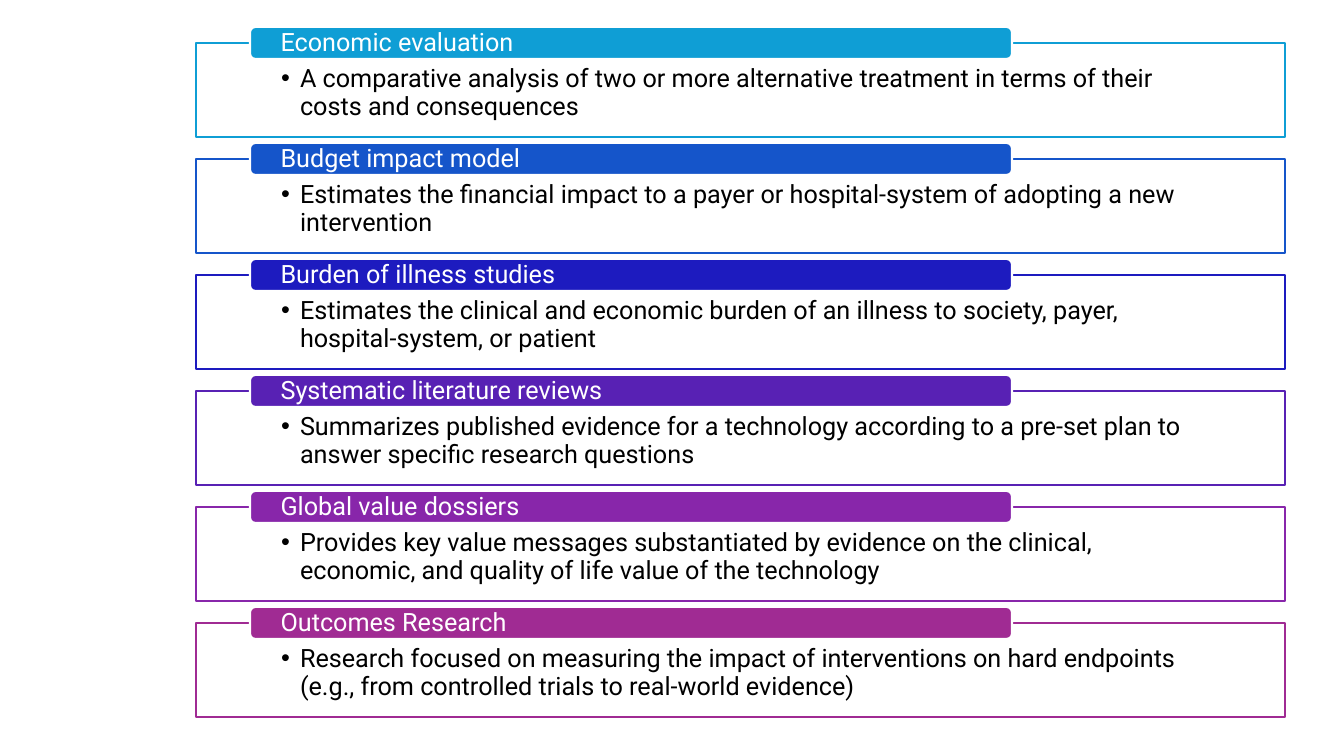
from pptx import Presentation
from pptx.dml.color import RGBColor
from pptx.enum.shapes import MSO_SHAPE as SHAPE
from pptx.enum.text import MSO_ANCHOR as ANCHOR, PP_ALIGN as ALIGN
from pptx.oxml.ns import qn
from pptx.util import Pt
from lxml.etree import SubElement

EMU_PER_PX = 914400 / 100.8


def px(length):
    return round(length * EMU_PER_PX)


def add_panel(kind, box, fill, line, text, color, insets, anchor):
    """Add a filled, outlined shape with one left-aligned paragraph."""
    panel = slide.shapes.add_shape(kind, *map(px, box))
    panel.shadow.inherit = False
    panel.fill.solid()
    panel.fill.fore_color.rgb = RGBColor.from_string(fill)
    panel.line.color.rgb = RGBColor.from_string(line)
    panel.line.width = Pt(1.5)
    frame = panel.text_frame
    frame.word_wrap = True
    frame.vertical_anchor = anchor
    frame.margin_left, frame.margin_top, frame.margin_right, frame.margin_bottom = map(px, insets)
    paragraph = frame.paragraphs[0]
    paragraph.alignment = ALIGN.LEFT
    paragraph.line_spacing = 0.9
    run = paragraph.add_run()
    run.text = text
    run.font.name = "Roboto"
    run.font.size = Pt(18)
    run.font.color.rgb = RGBColor.from_string(color)
    return panel


studies = [
    ("Economic evaluation", "0F9ED5",
     "A comparative analysis of two or more alternative treatment in terms of their costs and consequences"),
    ("Budget impact model", "1555CA",
     "Estimates the financial impact to a payer or hospital-system of adopting a new intervention"),
    ("Burden of illness studies", "1D1BBF",
     "Estimates the clinical and economic burden of an illness to society, payer, hospital-system, or patient"),
    ("Systematic literature reviews", "5821B4",
     "Summarizes published evidence for a technology according to a pre-set plan to answer specific research questions"),
    ("Global value dossiers", "8826AA",
     "Provides key value messages substantiated by evidence on the clinical, economic, and quality of life value of the technology"),
    ("Outcomes Research", "A02B93",
     "Research focused on measuring the impact of interventions on hard endpoints (e.g., from controlled trials to real-world evidence)"),
]

deck = Presentation()
deck.slide_width, deck.slide_height = px(1344), px(756)
slide = deck.slides.add_slide(deck.slide_layouts[6])

# One framed description and one heading tab per study type
FIRST_TOP, PITCH = 43, 116
for row, (heading, accent, description) in enumerate(studies):
    top = FIRST_TOP + row * PITCH

    # Description frame, nearly opaque white
    detail = add_panel(SHAPE.RECTANGLE, (196, top, 1089, 94), "FFFFFF", accent,
                       description, "000000", (85, 23, 85, 14), ANCHOR.TOP)
    white = detail.fill._xPr.find(qn("a:solidFill"))[0]
    SubElement(white, qn("a:alpha"), val="90000")

    # Hanging bullet
    bullet = detail.text_frame.paragraphs[0]._p.get_or_add_pPr()
    bullet.set("marL", str(px(19)))
    bullet.set("indent", str(px(-19)))
    SubElement(bullet, qn("a:buFont"), typeface="Arial")
    SubElement(bullet, qn("a:buChar"), char="•")

    # Heading tab over the frame's top edge
    add_panel(SHAPE.ROUNDED_RECTANGLE, (250, top - 16, 762, 32), accent, "FFFFFF",
              heading, "FFFFFF", (29, 0, 29, 0), ANCHOR.MIDDLE)

deck.save("out.pptx")
